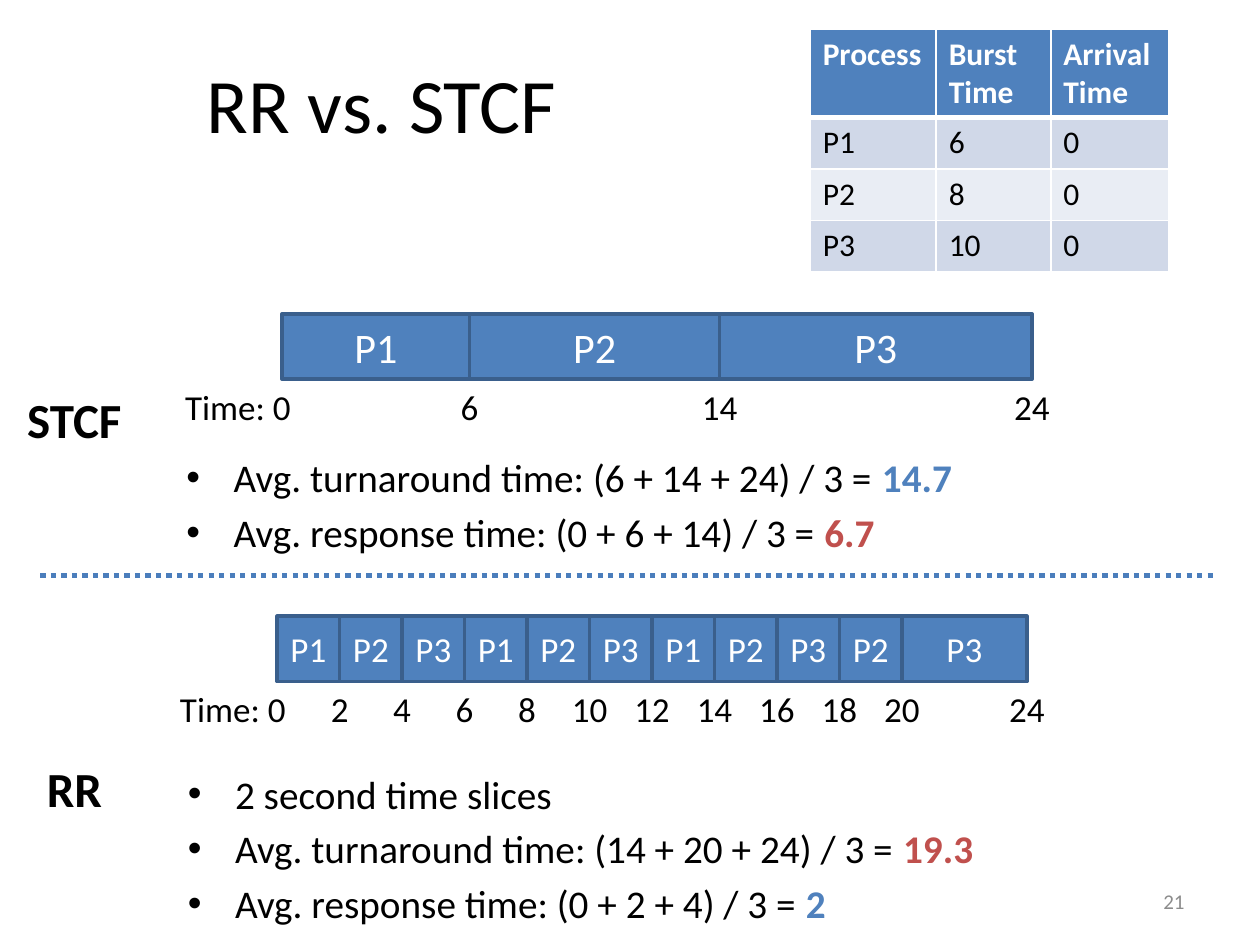
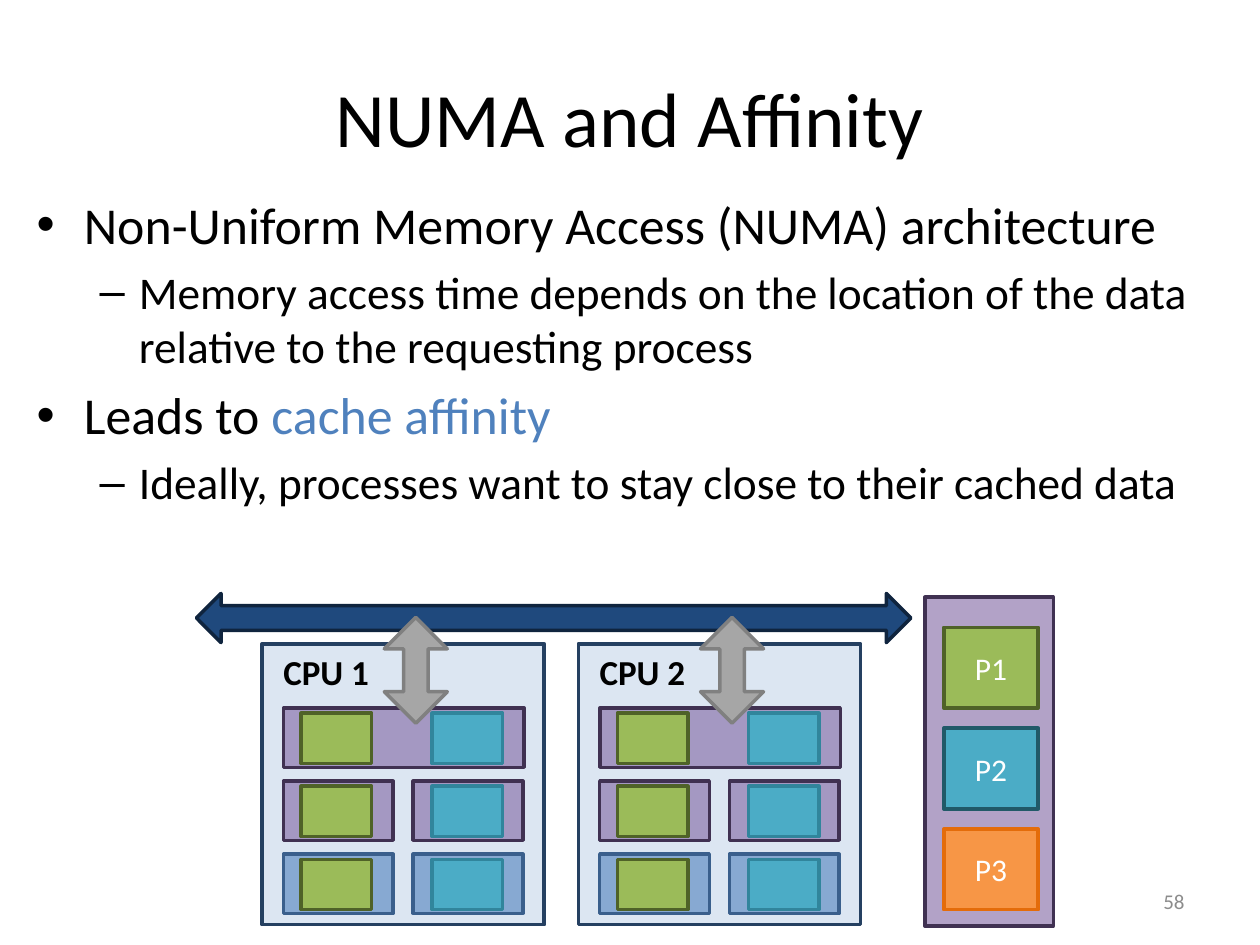
"""Builds two lecture slides on CPU scheduling: RR versus STCF, and NUMA with cache affinity."""
import pptx
import pptx.util
import pptx.dml.color
import pptx.enum.dml
import pptx.enum.shapes
import pptx.enum.text
import pptx.oxml
import pptx.oxml.ns
from lxml import etree

FONT = "Calibri"
BLACK, WHITE, GRAY = "000000", "FFFFFF", "8C8C8C"
BLUE, DARK_BLUE, RED = "4F81BD", "3A5F8C", "C0504D"
PURPLE, DARK_PURPLE = "8064A2", "403152"
GREEN, DARK_GREEN, TEAL = "9BBB59", "4F6228", "4BACC6"
BODY_SIZES = {"small": (22.4,), "large": (29.6, 25.9)}
RECTANGLE = pptx.enum.shapes.MSO_SHAPE.RECTANGLE
DOUBLE_ARROW = pptx.enum.shapes.MSO_SHAPE.LEFT_RIGHT_ARROW
ALIGN = pptx.enum.text.PP_ALIGN

PROCESS_TABLE = [
    ("Process", "Burst Time", "Arrival Time"),
    ("P1", "6", "0"),
    ("P2", "8", "0"),
    ("P3", "10", "0"),
]
COLUMN_WIDTHS = (1, 0.91, 0.94)
ROW_HEIGHTS = (0.7, 0.41, 0.41, 0.41)
ROW_FILLS = (BLUE, "D0D8E8", "E9EDF4", "D0D8E8")

TIME_UNIT = 5.95 / 24
SCHEDULES = [
    {
        "name": "STCF", "name_box": (0.11, 3.04, 0.96, 0.57),
        "left": 2.24, "top": 2.49, "size": 24,
        "bursts": [("P1", 6), ("P2", 8), ("P3", 10)],
        "notes_box": (1.38, 3.55, 7.31, 0.79),
        "notes": [
            (0, "Avg. turnaround time: (6 + 14 + 24) / 3 = ", "14.7", BLUE),
            (0, "Avg. response time: (0 + 6 + 14) / 3 = ", "6.7", RED),
        ],
    },
    {
        "name": "RR", "name_box": (0.27, 5.97, 0.64, 0.57),
        "left": 2.2, "top": 4.89, "size": 20,
        "bursts": [(name, 2) for name in ("P1", "P2", "P3") * 3] + [("P2", 2), ("P3", 4)],
        "notes_box": (1.39, 6.06, 8.3, 1.23),
        "notes": [
            (0, "2 second time slices", "", BLACK),
            (0, "Avg. turnaround time: (14 + 20 + 24) / 3 = ", "19.3", RED),
            (0, "Avg. response time: (0 + 2 + 4) / 3 = ", "2", BLUE),
        ],
    },
]

NUMA_POINTS = [
    (0, "Non-Uniform Memory Access (NUMA) architecture", "", BLACK),
    (1, "Memory access time depends on the location of the data relative to the requesting process",
     "", BLACK),
    (0, "Leads to ", "cache affinity", BLUE),
    (1, "Ideally, processes want to stay close to their cached data", "", BLACK),
]
CPUS = [("CPU 1", 2.08), ("CPU 2", 4.59)]
CPU_TOP, CACHE_PITCH = 5.11, 0.58
MEMORY_PROCESSES = [
    ("P1", GREEN, DARK_GREEN),
    ("P2", TEAL, "215968"),
    ("P3", "F79646", "E46C0A"),
]
CACHED_PROCESSES = [(0.31, GREEN, DARK_GREEN), (1.35, TEAL, "31859C")]


def color(hex_string):
    return pptx.dml.color.RGBColor.from_string(hex_string)


def inches(*lengths):
    return [pptx.util.Inches(length) for length in lengths]


def style_runs(paragraph, size, text_color=BLACK, bold=False):
    for run in paragraph.runs:
        run.font.name = FONT
        run.font.size = pptx.util.Pt(size)
        run.font.color.rgb = color(text_color)
        run.font.bold = bold


def place(shape, box):
    shape.left, shape.top, shape.width, shape.height = inches(*box)


def add_box(slide, box, fill, line, text="", size=18, alpha=None, kind=RECTANGLE):
    shape = slide.shapes.add_shape(kind, *inches(*box))
    shape.shadow.inherit = False
    shape.fill.solid()
    shape.fill.fore_color.rgb = color(fill)
    shape.line.color.rgb = color(line)
    shape.line.width = pptx.util.Pt(2)
    if alpha:
        fill_color = shape.element.spPr.find(pptx.oxml.ns.qn("a:solidFill"))[0]
        etree.SubElement(fill_color, pptx.oxml.ns.qn("a:alpha"), val=str(alpha * 1000))
    if text:
        frame = shape.text_frame
        frame.text = text
        frame.margin_left = frame.margin_right = 0
        frame.vertical_anchor = pptx.enum.text.MSO_ANCHOR.MIDDLE
        frame.paragraphs[0].alignment = ALIGN.CENTER
        style_runs(frame.paragraphs[0], size, WHITE)
    return shape


def add_label(slide, box, text, size=20, text_color=BLACK, bold=False, align=ALIGN.CENTER):
    frame = slide.shapes.add_textbox(*inches(*box)).text_frame
    frame.word_wrap = False
    frame.text = text
    frame.paragraphs[0].alignment = align
    style_runs(frame.paragraphs[0], size, text_color, bold)
    return frame


def fill_body(placeholder, box, points, sizes, bold_emphasis):
    place(placeholder, box)
    frame = placeholder.text_frame
    frame.auto_size = pptx.enum.text.MSO_AUTO_SIZE.NONE
    for index, (level, text, emphasis, emphasis_color) in enumerate(points):
        paragraph = frame.add_paragraph() if index else frame.paragraphs[0]
        paragraph.text = text
        paragraph.level = level
        paragraph.space_before = pptx.util.Pt(round(0.2 * sizes[level], 1) if index else 0)
        style_runs(paragraph, sizes[level])
        if emphasis:
            run = paragraph.add_run()
            run.text = emphasis
            run.font.name = FONT
            run.font.size = pptx.util.Pt(sizes[level])
            run.font.color.rgb = color(emphasis_color)
            run.font.bold = bold_emphasis


def add_slide(presentation, layout_index, title, title_box, number):
    slide = presentation.slides.add_slide(presentation.slide_layouts[layout_index])
    place(slide.shapes.title, title_box)
    slide.shapes.title.text_frame.text = title
    style_runs(slide.shapes.title.text_frame.paragraphs[0], 44)
    frame = add_label(slide, (7.17, 6.95, 2.33, 0.4), number, 12, GRAY, align=ALIGN.RIGHT)
    frame.word_wrap = True
    frame.vertical_anchor = pptx.enum.text.MSO_ANCHOR.MIDDLE
    return slide


def set_borders(cell, bottom_width):
    properties = cell._tc.get_or_add_tcPr()
    for index, (side, width) in enumerate(zip("LRTB", (1, 1, 1, bottom_width))):
        border = pptx.oxml.parse_xml(
            f'<a:ln{side} {pptx.oxml.ns.nsdecls("a")} w="{width * 12700}">'
            f'<a:solidFill><a:srgbClr val="{WHITE}"/></a:solidFill></a:ln{side}>')
        properties.insert(index, border)


def add_process_table(slide):
    box = (6.43, 0.23, sum(COLUMN_WIDTHS), sum(ROW_HEIGHTS))
    table = slide.shapes.add_table(
        len(PROCESS_TABLE), len(COLUMN_WIDTHS), *inches(*box)).table
    for column, width in zip(table.columns, inches(*COLUMN_WIDTHS)):
        column.width = width
    for row_index, values in enumerate(PROCESS_TABLE):
        header = row_index == 0
        table.rows[row_index].height = pptx.util.Inches(ROW_HEIGHTS[row_index])
        for column_index, value in enumerate(values):
            cell = table.cell(row_index, column_index)
            cell.text = value
            cell.fill.solid()
            cell.fill.fore_color.rgb = color(ROW_FILLS[row_index])
            set_borders(cell, 3 if header else 1)
            style_runs(cell.text_frame.paragraphs[0], 18, WHITE if header else BLACK, header)


def add_schedule(slide, schedule, placeholder):
    left, top = schedule["left"], schedule["top"]
    label_top = top + 0.52
    add_label(slide, (left - 0.87, label_top, 1.05, 0.44), "Time: 0", align=ALIGN.LEFT)
    time = 0
    for name, duration in schedule["bursts"]:
        add_box(slide, (left + time * TIME_UNIT, top, duration * TIME_UNIT, 0.52),
                BLUE, DARK_BLUE, name, schedule["size"])
        time += duration
        width = 0.34 if time < 10 else 0.49
        add_label(slide, (left + time * TIME_UNIT - width / 2, label_top, width, 0.44), str(time))
    add_label(slide, schedule["name_box"], schedule["name"], 28, bold=True)
    fill_body(placeholder, schedule["notes_box"], schedule["notes"], BODY_SIZES["small"], True)


def add_divider(slide):
    divider = slide.shapes.add_connector(
        pptx.enum.shapes.MSO_CONNECTOR.STRAIGHT, *inches(0.32, 4.57, 9.66, 4.57))
    divider.line.color.rgb = color("4B7EBC")
    divider.line.width = pptx.util.Pt(3)
    divider.line.dash_style = pptx.enum.dml.MSO_LINE.ROUND_DOT
    etree.SubElement(divider.element.spPr, pptx.oxml.ns.qn("a:effectLst"))


def add_cpu(slide, name, left):
    add_box(slide, (left, CPU_TOP, 2.24, 2.23), "DCE6F2", "254061")
    add_label(slide, (left + 0.07, CPU_TOP, 0.88, 0.44), name, bold=True, align=ALIGN.LEFT)
    cache_tops = [CPU_TOP + 0.51 + row * CACHE_PITCH for row in range(3)]
    shared, private, core = cache_tops
    add_box(slide, (left + 0.17, shared, 1.91, 0.47), PURPLE, DARK_PURPLE, alpha=60)
    for offset in (0.17, 1.2):
        add_box(slide, (left + offset, private, 0.87, 0.47), PURPLE, DARK_PURPLE, alpha=60)
        add_box(slide, (left + offset, core, 0.87, 0.47), BLUE, DARK_BLUE, alpha=60)
    for offset, fill, line in CACHED_PROCESSES:
        for top in cache_tops:
            add_box(slide, (left + offset, top + 0.04, 0.56, 0.4), fill, line)
    link = add_box(slide, (left + 0.8, CPU_TOP - 0.04, 0.84, 0.5), "A6A6A6", "808080",
                   kind=DOUBLE_ARROW)
    link.rotation = 90
    link.adjustments[0] = 0.39


def build_scheduling_slide(presentation):
    slide = add_slide(presentation, 3, "RR vs. STCF", (0.28, 0.19, 5.5, 1.25), "21")
    add_process_table(slide)
    for index, schedule in enumerate(SCHEDULES, start=1):
        add_schedule(slide, schedule, slide.placeholders[index])
    add_divider(slide)


def build_numa_slide(presentation):
    slide = add_slide(presentation, 1, "NUMA and Affinity", (0.5, 0.3, 9, 1.25), "58")
    fill_body(slide.placeholders[1], (0.19, 1.48, 9.64, 3.09), NUMA_POINTS,
              BODY_SIZES["large"], False)
    add_box(slide, (7.34, 4.74, 1.02, 2.61), PURPLE, DARK_PURPLE, alpha=60)
    for row, (name, fill, line) in enumerate(MEMORY_PROCESSES):
        add_box(slide, (7.49, 4.98 + row * 0.8, 0.75, 0.64), fill, line, name)
    add_box(slide, (1.56, 4.71, 5.67, 0.39), "1F497D", "0F243E", kind=DOUBLE_ARROW)
    for name, left in CPUS:
        add_cpu(slide, name, left)


def main():
    presentation = pptx.Presentation()
    presentation.slide_width, presentation.slide_height = inches(10, 7.5)
    build_scheduling_slide(presentation)
    build_numa_slide(presentation)
    presentation.save("out.pptx")


if __name__ == "__main__":
    main()
